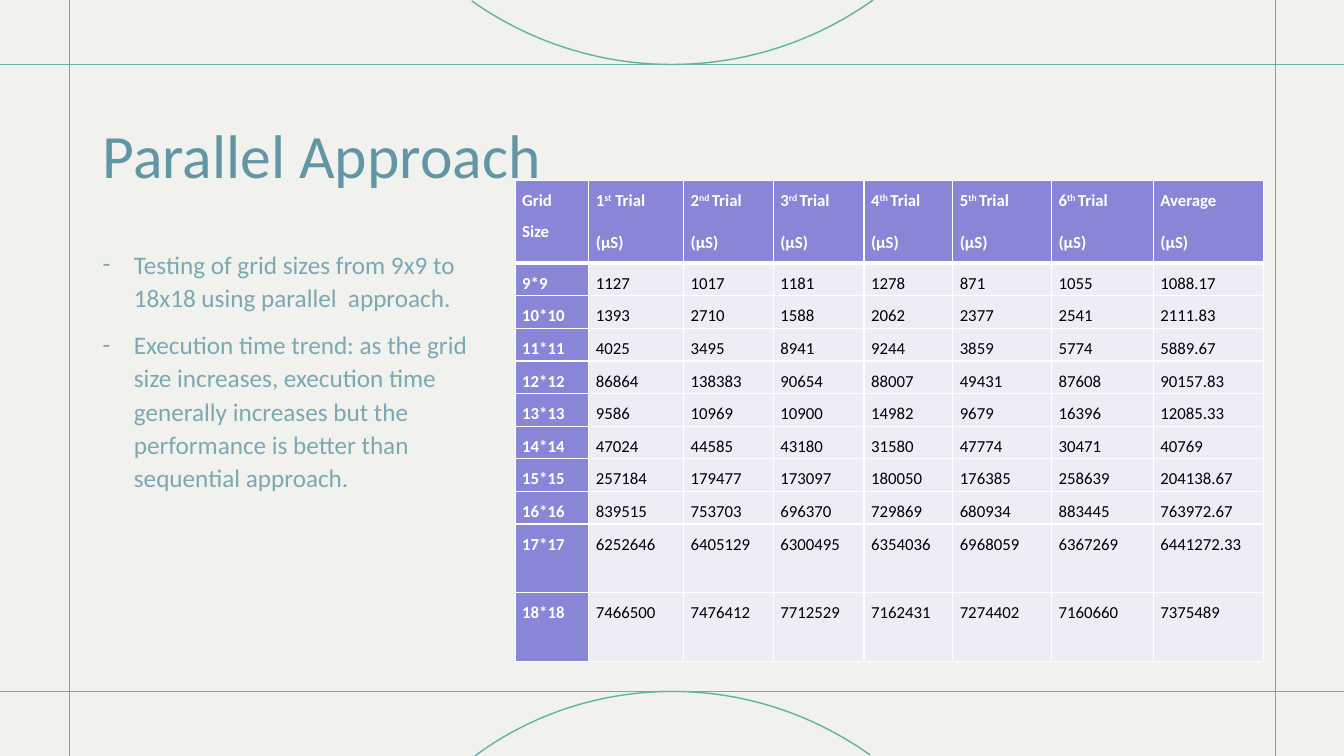
"""Build the slide with the trial times of the parallel approach."""
from lxml.etree import SubElement
from pptx import Presentation
from pptx.dml.color import RGBColor
from pptx.enum.text import MSO_ANCHOR as ANCHOR, PP_ALIGN as ALIGN
from pptx.oxml.ns import qn
from pptx.util import Inches, Pt

FONT = "Calibri"
PAPER, GREEN, TITLE, BODY = "F1F1EE", "5DB4A2", "6296A5", "7CA8B4"
VIOLET, PALE, WHITE, BLACK = "8985D7", "EDEDF8", "FFFFFF", "000000"
W, H = 13.33, 7.5

BULLETS = [
    "Testing of grid sizes from 9x9 to 18x18 using parallel  approach.",
    "Execution time trend: as the grid size increases, execution time generally "
    "increases but the performance is better than sequential approach.",
]
HEADERS = [("Grid Size",)] + [
    (number, suffix, word) for number, suffix, word in [
        ("1", "st", " Trial"), ("2", "nd ", "Trial"), ("3", "rd ", "Trial"),
        ("4", "th ", "Trial"), ("5", "th ", "Trial"), ("6", "th ", "Trial")]
] + [("Average",)]
UNIT = ("(µS)",)
TIMES = [
    ("9*9", "1127", "1017", "1181", "1278", "871", "1055", "1088.17"),
    ("10*10", "1393", "2710", "1588", "2062", "2377", "2541", "2111.83"),
    ("11*11", "4025", "3495", "8941", "9244", "3859", "5774", "5889.67"),
    ("12*12", "86864", "138383", "90654", "88007", "49431", "87608", "90157.83"),
    ("13*13", "9586", "10969", "10900", "14982", "9679", "16396", "12085.33"),
    ("14*14", "47024", "44585", "43180", "31580", "47774", "30471", "40769"),
    ("15*15", "257184", "179477", "173097", "180050", "176385", "258639", "204138.67"),
    ("16*16", "839515", "753703", "696370", "729869", "680934", "883445", "763972.67"),
    ("17*17", "6252646", "6405129", "6300495", "6354036", "6968059", "6367269", "6441272.33"),
    ("18*18", "7466500", "7476412", "7712529", "7162431", "7274402", "7160660", "7375489"),
]
COLS = [0.73, 0.94, 0.89, 0.9, 0.88, 0.98, 1.01, 1.09]
TABLE_H, HEAD_H, TALL_H = 4.77, 0.82, 0.68
FRAME = [(0, 6.86, W, 6.86), (0, 0.64, W, 0.64), (12.65, H, 12.65, 0), (0.69, H, 0.69, 0)]
ARCS = [
    [(4.68, 0.01), (5.23, 0.4), (5.92, 0.64), (6.66, 0.64),
     (7.41, 0.64), (8.1, 0.4), (8.66, 0)],
    [(8.63, 7.49), (8.08, 7.1), (7.41, 6.86), (6.67, 6.86),
     (5.93, 6.86), (5.25, 7.1), (4.71, 7.5)],
]


def rgb(value):
    return RGBColor.from_string(value)


def write(p, runs, size, color, bold=False, align=ALIGN.LEFT, spacing=1.0, before=0, after=0):
    p.alignment, p.line_spacing = align, spacing
    p.space_before, p.space_after = Pt(before), Pt(after)
    for i, text in enumerate(runs):
        r = p.add_run()
        r.text = text
        f = r.font
        f.name, f.size, f.bold, f.color.rgb = FONT, Pt(size), bold, rgb(color)
        if i == 1:
            r._r.get_or_add_rPr().set("baseline", "30000")


def text_box(slide, left, top, width, height, anchor):
    tf = slide.shapes.add_textbox(*map(Inches, (left, top, width, height))).text_frame
    tf.word_wrap, tf.vertical_anchor = True, anchor
    return tf


def style_line(s):
    s.line.color.rgb, s.line.width = rgb(GREEN), Pt(1)


def add_arc(slide, points, steps=24):
    curve = []
    for start in (0, 3):
        a, b, c, d = points[start:start + 4]
        for n in range(steps + 1):
            t = n / steps
            u = 1 - t
            curve.append([Inches(u**3 * a[k] + 3 * u * u * t * b[k] + 3 * u * t * t * c[k]
                                 + t**3 * d[k]) for k in (0, 1)])
    builder = slide.shapes.build_freeform(*curve[0])
    builder.add_line_segments(curve[1:], close=False)
    s = builder.convert_to_shape()
    s.shadow.inherit = False
    s.fill.background()
    style_line(s)


def style_cell(cell, fill, top, bottom):
    cell.margin_left = cell.margin_right = Inches(0.07)
    cell.margin_top = cell.margin_bottom = 0
    tc_pr = cell._tc.get_or_add_tcPr()
    for side, width in (("L", 1), ("R", 1), ("T", top), ("B", bottom)):
        ln = SubElement(tc_pr, qn(f"a:ln{side}"), w=str(Pt(width)))
        SubElement(SubElement(ln, qn("a:solidFill")), qn("a:srgbClr"), val=WHITE)
    cell.fill.solid()
    cell.fill.fore_color.rgb = rgb(fill)


def add_times(slide):
    row_h = (TABLE_H - HEAD_H - 2 * TALL_H) / (len(TIMES) - 2)
    heights = [HEAD_H] + [row_h] * (len(TIMES) - 2) + [TALL_H] * 2
    table = slide.shapes.add_table(
        len(heights), len(COLS), *map(Inches, (5.11, 1.79, sum(COLS), TABLE_H))).table
    for col, width in zip(table.columns, COLS):
        col.width = Inches(width)
    header = [[runs, UNIT] if j else [runs] for j, runs in enumerate(HEADERS)]
    body = [[[(value,)] for value in row] for row in TIMES]
    for i, row in enumerate([header] + body):
        table.rows[i].height = Inches(heights[i])
        for j, paragraphs in enumerate(row):
            cell = table.cell(i, j)
            label = i == 0 or j == 0
            style_cell(cell, VIOLET if label else PALE, 3 if i == 1 else 1, 3 if i == 0 else 1)
            tf = cell.text_frame
            for k, runs in enumerate(paragraphs):
                p = tf.add_paragraph() if k else tf.paragraphs[0]
                write(p, runs, 12, WHITE if label else BLACK, bold=label,
                      align=ALIGN.JUSTIFY, spacing=1.5, after=8)


def main():
    prs = Presentation()
    prs.slide_width, prs.slide_height = Inches(W), Inches(H)
    slide = prs.slides.add_slide(prs.slide_layouts[6])
    slide.background.fill.solid()
    slide.background.fill.fore_color.rgb = rgb(PAPER)
    for ends in FRAME:
        s = slide.shapes.add_connector(1, *map(Inches, ends))
        style_line(s)
        SubElement(s._element.spPr, qn("a:effectLst"))
    for points in ARCS:
        add_arc(slide, points)

    tf = text_box(slide, 0.92, 0.8, 11.5, 1.45, ANCHOR.MIDDLE)
    write(tf.paragraphs[0], ["Parallel Approach"], 44, TITLE)
    tf = text_box(slide, 0.92, 2.39, 4, 4.18, ANCHOR.TOP)
    for i, text in enumerate(BULLETS):
        p = tf.add_paragraph() if i else tf.paragraphs[0]
        write(p, [text], 18, BODY, spacing=1.1, before=10)
        p_pr = p._p.get_or_add_pPr()
        p_pr.set("marL", str(Inches(0.31)))
        p_pr.set("indent", str(-Inches(0.31)))
        SubElement(p_pr, qn("a:buFont"), typeface=FONT)
        SubElement(p_pr, qn("a:buChar"), char="-")
    add_times(slide)
    prs.save("out.pptx")


if __name__ == "__main__":
    main()
